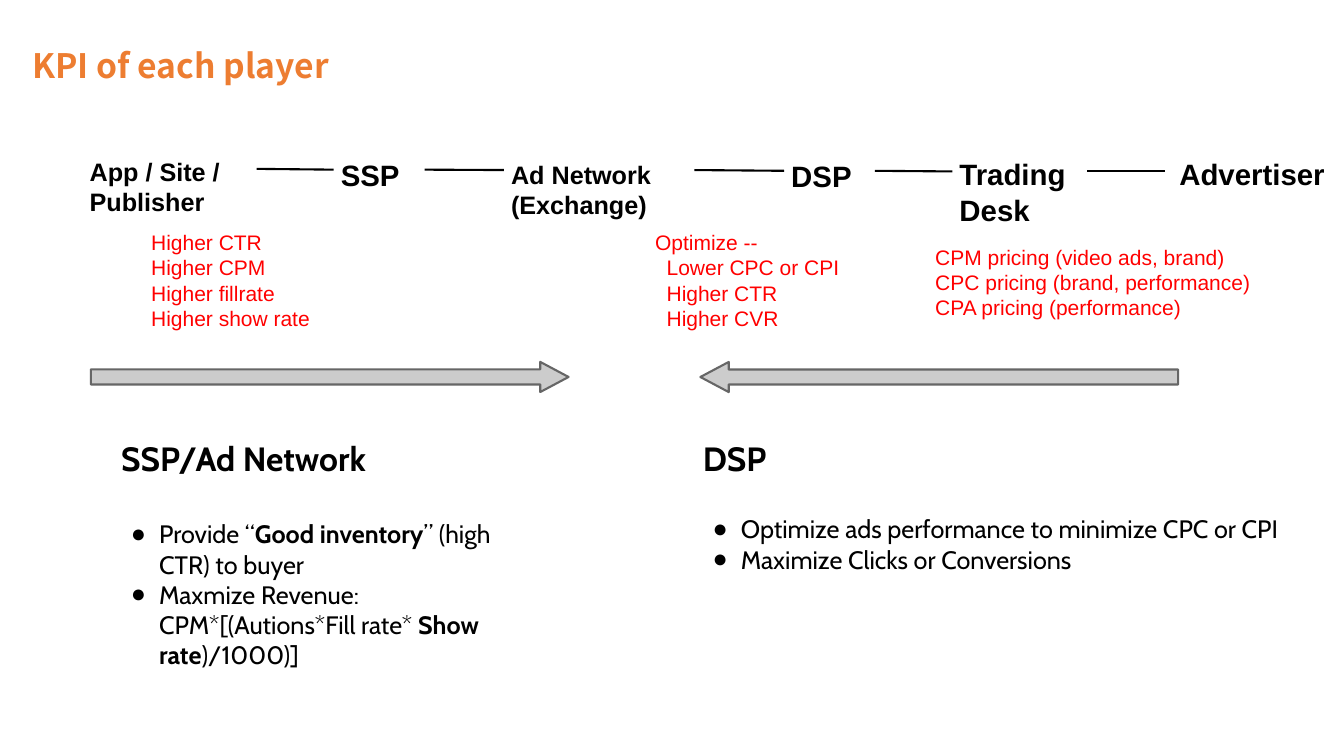
from lxml import etree
from pptx import Presentation
from pptx.dml.color import RGBColor
from pptx.enum.shapes import MSO_CONNECTOR, MSO_SHAPE
from pptx.enum.text import MSO_ANCHOR, MSO_AUTO_SIZE, PP_ALIGN
from pptx.oxml.ns import qn
from pptx.util import Cm, Pt

STRAIGHT = MSO_CONNECTOR.STRAIGHT
RIGHT_ARROW = MSO_SHAPE.RIGHT_ARROW
TOP, MIDDLE = MSO_ANCHOR.TOP, MSO_ANCHOR.MIDDLE
NO_AUTOFIT = MSO_AUTO_SIZE.NONE
LEFT = PP_ALIGN.LEFT

ORANGE = RGBColor(0xED, 0x7D, 0x31)
BLACK = RGBColor(0x00, 0x00, 0x00)
RED = RGBColor(0xFF, 0x00, 0x00)
LIGHT_GREY = RGBColor(0xCC, 0xCC, 0xCC)
DARK_GREY = RGBColor(0x66, 0x66, 0x66)

TITLE_BOX = (0.69, 0.48, 30.02, 1.8)
CHAIN_ORIGIN = (2.08, 3.76)
GOALS_ORIGIN = (3.63, 5.61)
ARROW_BOXES = [((2.29, 9.12, 12.04, 0.76), 0), ((17.65, 9.12, 12.04, 0.76), 180)]
NETWORK_BOX = (2.87, 10.85, 11.07, 4.52)
DSP_BOX = (17.53, 10.85, 16.71, 4.52)

PLAYERS = [
    ("App / Site / Publisher", 18, (0, 0, 4.39, 0.99)),
    ("SSP", 21, (6.33, 0.02, 2.29, 0.99)),
    ("Ad Network (Exchange)", 18, (10.62, 0.08, 4.8, 0.89)),
    ("DSP", 21, (17.68, 0.05, 2.29, 0.99)),
    ("Trading Desk", 21, (21.92, 0, 3.4, 1.12)),
    ("Advertiser", 21, (27.46, 0, 4.09, 1.12)),
]
ADVERTISER_GAP = 0.18

GOALS = [
    ((0, 0, 5.36, 2.97), [
        ("Higher CTR", 0), ("Higher CPM", 0),
        ("Higher fillrate", 0), ("Higher show rate", 0)]),
    ((12.7, 0, 5.41, 3.23), [
        ("Optimize --", 0), ("Lower CPC or CPI", 0.29),
        ("Higher CTR", 0.29), ("Higher CVR", 0.29)]),
    ((19.76, 0.36, 8.76, 2.87), [
        ("CPM pricing (video ads, brand)", 0),
        ("CPC pricing (brand, performance)", 0),
        ("CPA pricing (performance)", 0)]),
]

NETWORK_BULLETS = [
    [("Provide “", False), ("Good inventory", True), ("” (high CTR) to buyer", False)],
    [("Maxmize Revenue: CPM*[(Autions*Fill rate* ", False),
     ("Show rate", True), (")/1000)]", False)],
]
DSP_BULLETS = [
    [("Optimize ads performance to minimize CPC or CPI", False)],
    [("Maximize Clicks or Conversions", False)],
]


def place(shape, box):
    shape.left, shape.top, shape.width, shape.height = map(Cm, box)


def prepare_frame(shape, anchor=TOP, inset=0.18):
    frame = shape.text_frame
    frame.word_wrap = True
    frame.auto_size = NO_AUTOFIT
    frame.vertical_anchor = anchor
    frame.margin_left = frame.margin_right = Cm(inset)
    frame.margin_top = frame.margin_bottom = Cm(inset)
    return frame


def next_paragraph(frame, first):
    return frame.paragraphs[0] if first else frame.add_paragraph()


def add_run(paragraph, text, size, font, color, bold=False):
    run = paragraph.add_run()
    run.text = text
    run.font.name = font
    run.font.size = Pt(size)
    run.font.bold = bold
    run.font.color.rgb = color


def set_indent(paragraph, margin, indent):
    properties = paragraph._p.get_or_add_pPr()
    properties.set("marL", str(Cm(margin)))
    properties.set("indent", str(Cm(indent)))
    return properties


def add_bullet(properties):
    color = etree.SubElement(properties, qn("a:buClr"))
    etree.SubElement(color, qn("a:srgbClr"), val=str(BLACK))
    etree.SubElement(properties, qn("a:buChar"), char="●")


def add_text_box(slide, origin, box):
    left, top, width, height = box
    shape = slide.shapes.add_textbox(
        Cm(origin[0] + left), Cm(origin[1] + top), Cm(width), Cm(height))
    prepare_frame(shape)
    return shape


def fill_title(title, box):
    place(title, box)
    paragraph = prepare_frame(title, MIDDLE, 0.13).paragraphs[0]
    paragraph.alignment = LEFT
    paragraph.line_spacing = 1.5
    add_run(paragraph, "KPI of each player", 24, "Noto Sans CJK SC", ORANGE, True)


def draw_chain(slide, origin):
    players = []
    for name, size, box in PLAYERS:
        player = add_text_box(slide, origin, box)
        add_run(player.text_frame.paragraphs[0], name, size, "Arial", BLACK, True)
        players.append(player)
    for before, after in zip(players, players[1:]):
        middle = before.top + before.height // 2
        line = slide.shapes.add_connector(
            STRAIGHT, before.left + before.width, middle,
            after.left - Cm(ADVERTISER_GAP), middle)
        line.begin_connect(before, 3)
        if after is not players[-1]:
            line.end_connect(after, 1)
        line.line.color.rgb = BLACK
        line.line.width = Pt(1.5)
        etree.SubElement(line._element.spPr, qn("a:effectLst"))


def draw_goals(slide, origin):
    for box, goals in GOALS:
        frame = add_text_box(slide, origin, box).text_frame
        for index, (goal, margin) in enumerate(goals):
            paragraph = next_paragraph(frame, index == 0)
            set_indent(paragraph, margin, 0)
            add_run(paragraph, goal, 15, "Arial", RED)


def draw_arrow(slide, box, rotation):
    arrow = slide.shapes.add_shape(RIGHT_ARROW, *map(Cm, box))
    arrow.rotation = rotation
    arrow.adjustments[1] = 0.94
    arrow.shadow.inherit = False
    arrow.fill.solid()
    arrow.fill.fore_color.rgb = LIGHT_GREY
    arrow.line.color.rgb = DARK_GREY
    arrow.line.width = Pt(1.5)


def fill_panel(body, box, heading, gap, bullets):
    place(body, box)
    frame = prepare_frame(body)
    paragraph = frame.paragraphs[0]
    paragraph.space_before = Pt(0)
    etree.SubElement(set_indent(paragraph, 0, 0), qn("a:buNone"))
    add_run(paragraph, heading, 24, "Cabin", BLACK, True)
    for index, runs in enumerate(bullets):
        paragraph = frame.add_paragraph()
        paragraph.space_before = Pt(0 if index else gap)
        add_bullet(set_indent(paragraph, 0.96, -0.71))
        for text, bold in runs:
            add_run(paragraph, text, 18, "Cabin", BLACK, bold)


def main():
    presentation = Presentation()
    presentation.slide_width = Cm(33.87)
    presentation.slide_height = Cm(19.05)
    slide = presentation.slides.add_slide(presentation.slide_layouts[3])
    title, network, dsp = slide.placeholders
    fill_title(title, TITLE_BOX)
    fill_panel(network, NETWORK_BOX, "SSP/Ad Network", 29, NETWORK_BULLETS)
    fill_panel(dsp, DSP_BOX, "DSP", 25.5, DSP_BULLETS)
    draw_chain(slide, CHAIN_ORIGIN)
    draw_goals(slide, GOALS_ORIGIN)
    for box, rotation in ARROW_BOXES:
        draw_arrow(slide, box, rotation)
    presentation.save("out.pptx")


if __name__ == "__main__":
    main()
